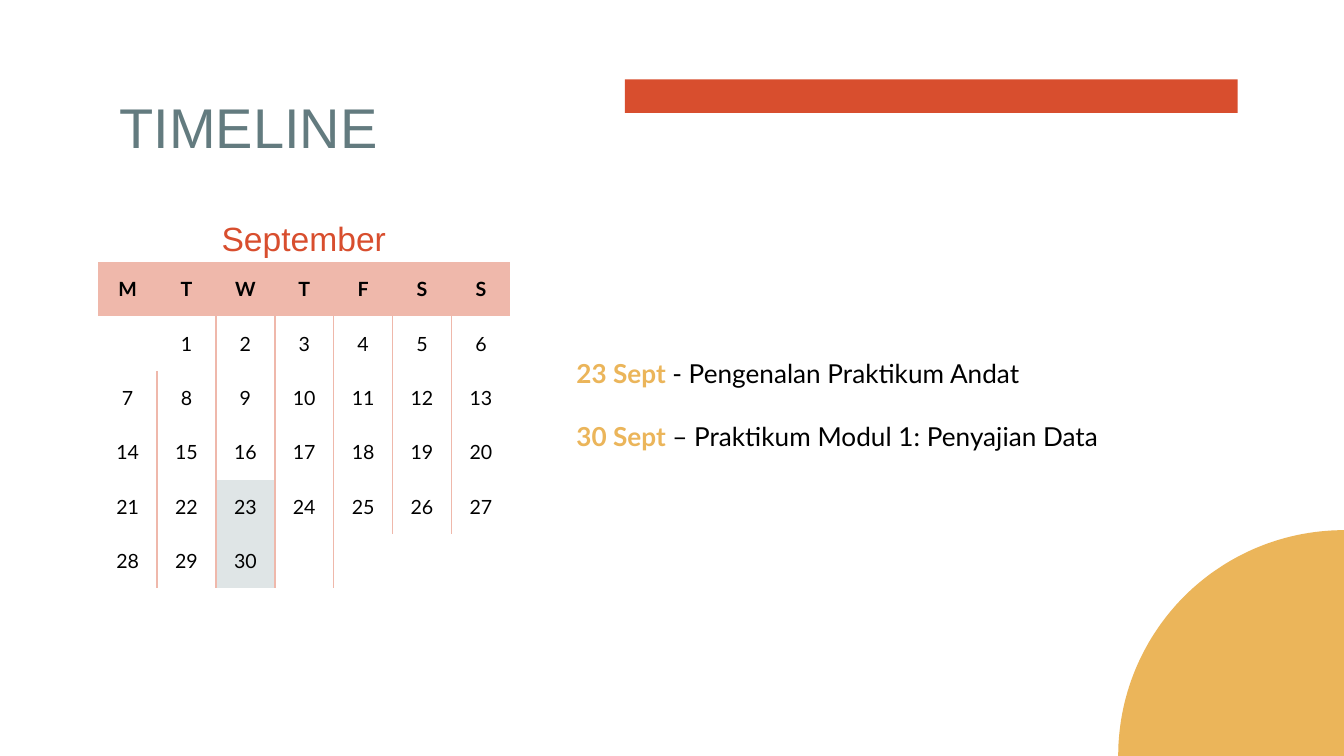
"""Build the September timeline slide."""
import math
import lxml.etree
import pptx
import pptx.dml.color
import pptx.enum.shapes
import pptx.enum.text
import pptx.oxml.ns
import pptx.util

Inches = pptx.util.Inches
Pt = pptx.util.Pt
align = pptx.enum.text.PP_ALIGN
anchor = pptx.enum.text.MSO_ANCHOR
fit = pptx.enum.text.MSO_AUTO_SIZE
qn = pptx.oxml.ns.qn

theme = {
    "head": "Arial", "body": "Lato",
    "title": 30, "month": 18, "event": 14, "day": 10.5,
    "red": "D84E2E", "gold": "EBB55A", "teal": "637B7F",
    "pink": "EFB8AB", "grey": "DFE5E6", "black": "000000",
}


def style(font, face, size, color, bold=False):
    font.name = theme[face]
    font.size = Pt(theme[size])
    font.bold = bold
    font.color.rgb = pptx.dml.color.RGBColor.from_string(theme[color])


def paint(shape, color):
    shape.fill.solid()
    shape.fill.fore_color.rgb = pptx.dml.color.RGBColor.from_string(theme[color])


wide = 10
high = wide * 9 / 16
deck = pptx.Presentation()
deck.slide_width, deck.slide_height = Inches(wide), Inches(high)
slide = deck.slides.add_slide(deck.slide_layouts[5])
shapes = slide.shapes

bar = shapes.add_shape(pptx.enum.shapes.MSO_SHAPE.RECTANGLE,
                       Inches(4.65), Inches(0.59), Inches(4.56), Inches(0.25))

radius = 1.68
arc = []
for step in range(61):
    turn = math.pi / 2 * step / 60
    arc.append((Inches(wide - radius * math.sin(turn)),
                Inches(high - radius * math.cos(turn))))
pen = shapes.build_freeform(Inches(wide), Inches(high))
pen.add_line_segments(arc, close=True)
disc = pen.convert_to_shape()

for shape, color in ((bar, "red"), (disc, "gold")):
    paint(shape, color)
    shape.line.fill.background()
    shape.shadow.inherit = False

title = shapes.title
title.left, title.top = Inches(0.79), Inches(0.59)
title.width, title.height = Inches(4.21), Inches(0.63)
frame = title.text_frame
frame.text = "TIMELINE"
frame.auto_size = fit.NONE
frame.vertical_anchor = anchor.TOP
frame.margin_left = frame.margin_right = Inches(0.1)
frame.margin_top = frame.margin_bottom = Inches(0.1)
frame.paragraphs[0].alignment = align.LEFT
style(frame.paragraphs[0].font, "head", "title", "teal")

days = "MTWTFSS"
rules = [range(0), range(1, 6), range(6), range(6), range(6), range(4)]
marks = (23, 30)
table = shapes.add_table(len(rules), len(days), Inches(0.73), Inches(1.95),
                         Inches(3.07), Inches(2.43)).table
table.first_row = table.horz_banding = False
for row, ruled in enumerate(rules):
    for col, name in enumerate(days):
        cell = table.cell(row, col)
        day = 7 * (row - 1) + col
        label = name if row == 0 else str(day) if 1 <= day <= 30 else ""
        cell.text = label
        cell.vertical_anchor = anchor.MIDDLE
        cell.margin_left = cell.margin_right = Inches(0.08)
        cell.margin_top = cell.margin_bottom = Inches(0.04)
        para = cell.text_frame.paragraphs[0]
        para.alignment = align.CENTER
        style(para.font, "body", "day", "black", row == 0)

        props = cell._tc.get_or_add_tcPr()
        drawn = {"L": col - 1 in ruled, "R": col in ruled}
        for side in "LRTB":
            edge = lxml.etree.SubElement(props, qn("a:ln" + side), w=str(Pt(1)))
            if drawn.get(side):
                solid = lxml.etree.SubElement(edge, qn("a:solidFill"))
                lxml.etree.SubElement(solid, qn("a:srgbClr"), val=theme["pink"])
            else:
                lxml.etree.SubElement(edge, qn("a:noFill"))
        if row == 0:
            paint(cell, "pink")
        elif day in marks:
            paint(cell, "grey")
        else:
            cell.fill.background()

month = shapes.add_textbox(Inches(1.3), Inches(1.57), Inches(1.92), Inches(0.4))
month.text_frame.word_wrap = True
para = month.text_frame.paragraphs[0]
para.text = "September"
para.alignment = align.CENTER
style(para.font, "head", "month", "red")

events = [
    ("23 Sept ", "- Pengenalan Praktikum Andat"),
    ("30 Sept ", "– Praktikum Modul 1: Penyajian Data"),
]
notes = shapes.add_textbox(Inches(4.19), Inches(2.38), Inches(5.21), Inches(1.04))
frame = notes.text_frame
frame.word_wrap = True
for index, (date, topic) in enumerate(events):
    para = frame.add_paragraph() if index else frame.paragraphs[0]
    para.line_spacing = 2.0
    for text, color, bold in ((date, "gold", True), (topic, "black", False)):
        run = para.add_run()
        run.text = text
        style(run.font, "body", "event", color, bold)

deck.save("out.pptx")
